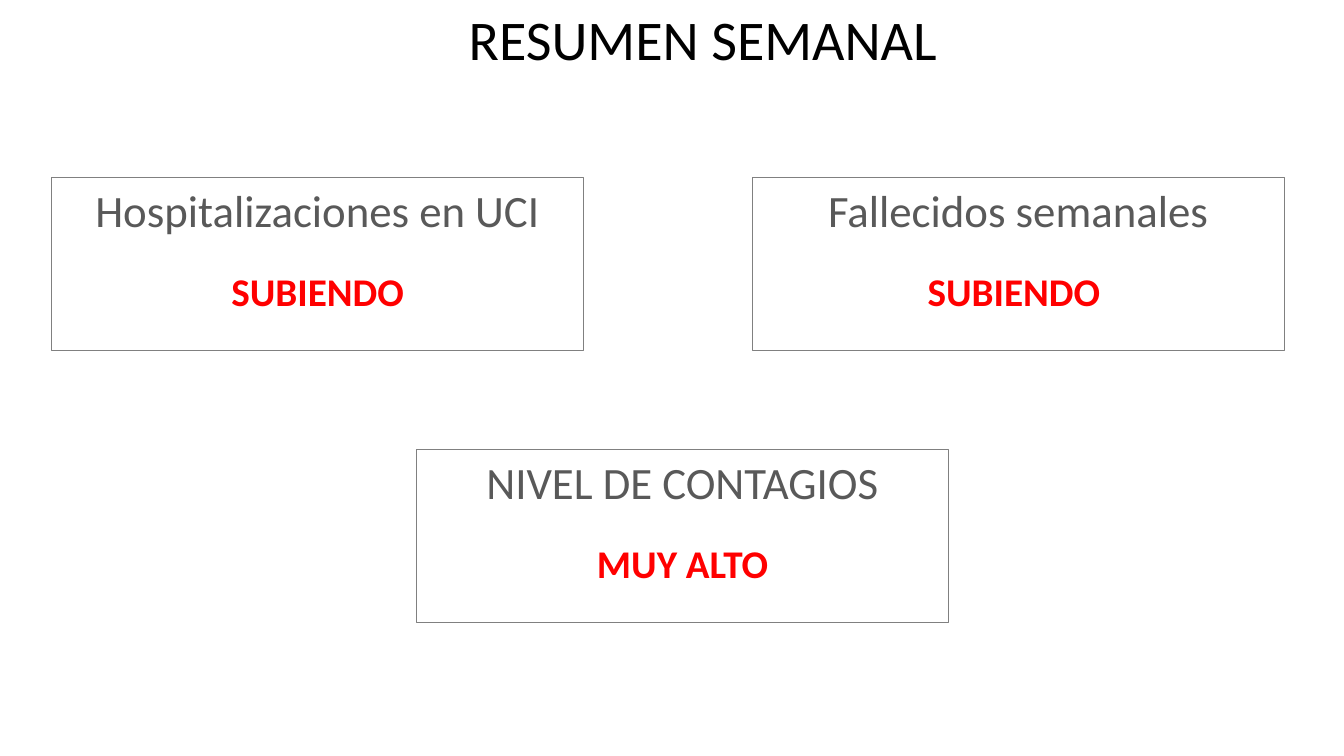
from dataclasses import dataclass

from pptx import Presentation
from pptx import util as u
from pptx.dml.color import RGBColor
from pptx.enum import shapes, text
from pptx.slide import Slide
from pptx.text.text import _Paragraph as Paragraph

FONT = "Calibri"
BLACK, DARK_GRAY, GRAY, RED = "000000", "595959", "808080", "FF0000"
CARD_WIDTH, CARD_HEIGHT = 5.28, 1.72
STATUS_GAP = 22


@dataclass(frozen=True)
class Card:
    left: float
    top: float
    heading: str
    status: str


CARDS = [
    Card(0.51, 1.76, "Hospitalizaciones en UCI", "SUBIENDO"),
    Card(7.46, 1.76, "Fallecidos semanales", "SUBIENDO "),
    Card(4.13, 4.46, "NIVEL DE CONTAGIOS", "MUY ALTO"),
]


def color(value: str) -> RGBColor:
    return RGBColor.from_string(value)


def add_run(paragraph: Paragraph, words: str, size: float, hex_color: str,
            bold: bool = False) -> None:
    run = paragraph.add_run()
    run.text = words
    run.font.name = FONT
    run.font.size = u.Pt(size)
    run.font.bold = bold
    run.font.color.rgb = color(hex_color)


def add_title(slide: Slide, words: str) -> None:
    title = slide.shapes.add_textbox(
        u.Inches(4.55), u.Inches(0), u.Inches(4.89), u.Inches(0.77))
    title.text_frame.word_wrap = False
    add_run(title.text_frame.paragraphs[0], words, 40, BLACK)


def add_card(slide: Slide, card: Card) -> None:
    shape = slide.shapes.add_shape(
        shapes.MSO_SHAPE.RECTANGLE, u.Inches(card.left), u.Inches(card.top),
        u.Inches(CARD_WIDTH), u.Inches(CARD_HEIGHT))
    shape.shadow.inherit = False
    shape.fill.background()
    shape.line.color.rgb = color(GRAY)
    shape.line.width = u.Pt(0.75)

    frame = shape.text_frame
    frame.word_wrap = True
    frame.vertical_anchor = text.MSO_ANCHOR.TOP
    heading = frame.paragraphs[0]
    add_run(heading, card.heading, 32, DARK_GRAY)
    status = frame.add_paragraph()
    status.space_before = u.Pt(STATUS_GAP)
    add_run(status, card.status, 28, RED, bold=True)
    for paragraph in frame.paragraphs:
        paragraph.alignment = text.PP_ALIGN.CENTER


def main() -> None:
    presentation = Presentation()
    presentation.slide_width = u.Inches(13.33)
    presentation.slide_height = u.Inches(7.5)
    slide = presentation.slides.add_slide(presentation.slide_layouts[6])
    add_title(slide, "RESUMEN SEMANAL")
    for card in CARDS:
        add_card(slide, card)
    presentation.save("out.pptx")


if __name__ == "__main__":
    main()
